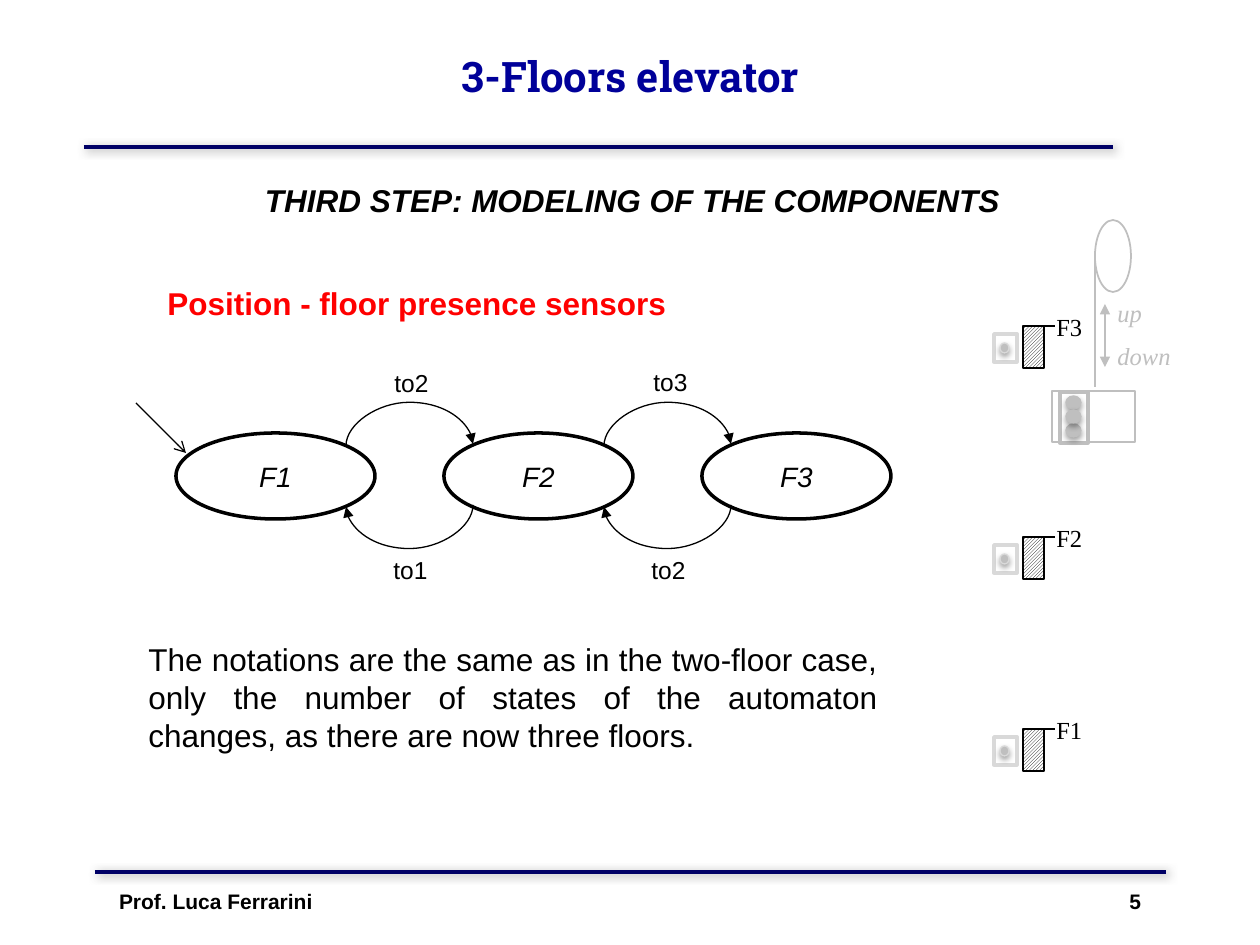
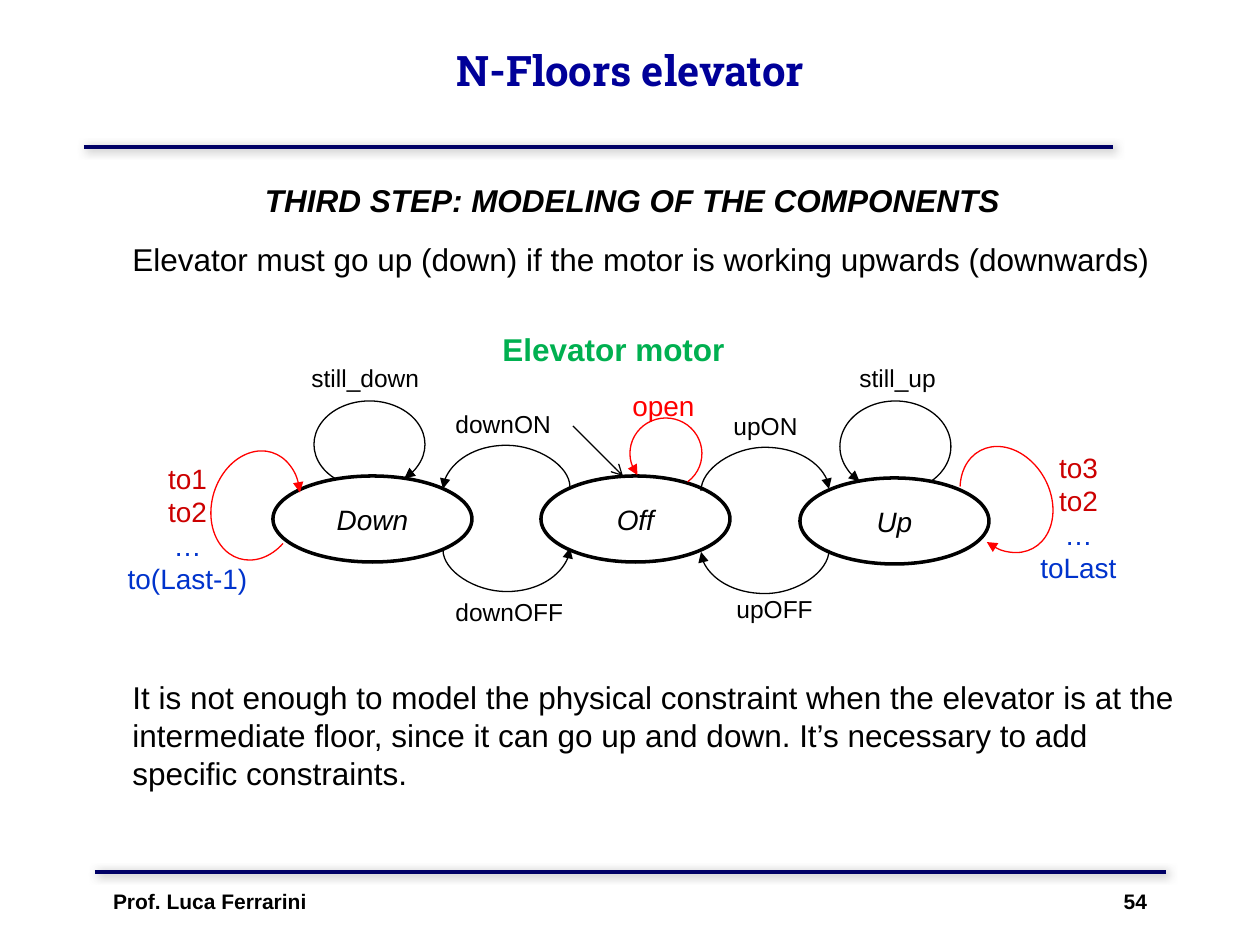
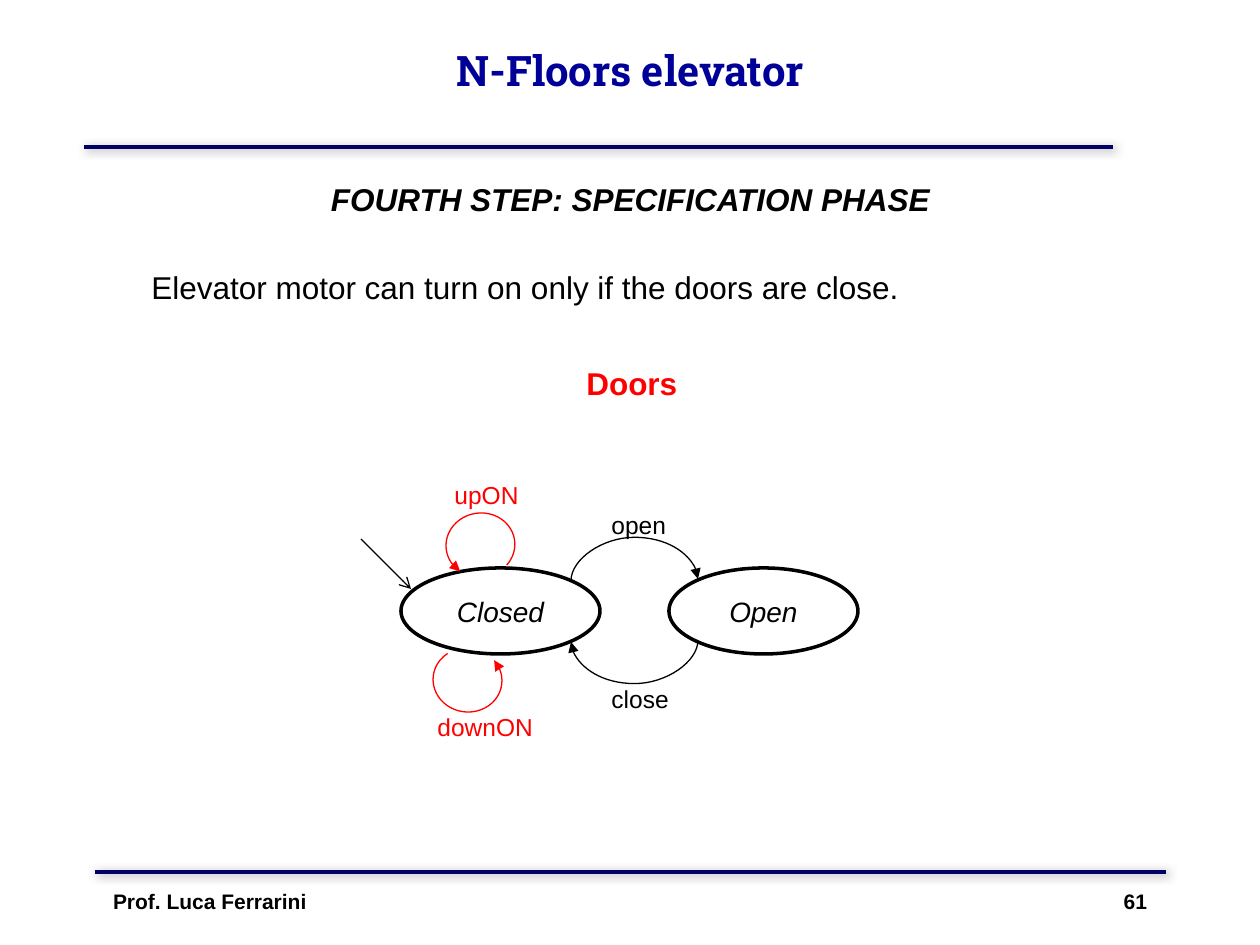
from dataclasses import dataclass, replace

from lxml import etree
from pptx import Presentation
from pptx import util as u
from pptx.dml.color import RGBColor
from pptx.enum import dml, shapes, text
from pptx.oxml.ns import qn

SCALE = 914400 / 126


def px(length):
    return u.Emu(round(length * SCALE))


def rgb(code):
    return RGBColor.from_string(code)


@dataclass(frozen=True)
class Style:
    size: int
    color: str = "000000"
    bold: bool = False
    italic: bool = False
    font: str = "Arial"
    align: text.PP_ALIGN = text.PP_ALIGN.LEFT
    spacing: float = 1.0


@dataclass(frozen=True)
class Shadow:
    color: str
    alpha: int
    blur: float
    distance: float
    angle: int


class Theme:
    ink, paper, red = "000000", "FFFFFF", "FF0000"
    band, green = "000066", "00B050"
    event_red, event_blue = "CC0000", "0033CC"
    grey, pale = "BFBFBF", "D9D9D9"
    center = text.PP_ALIGN.CENTER
    title = Style(24, "000099", bold=True, font="Roboto Slab", align=center)
    step = Style(18, bold=True, italic=True, align=center)
    footer = Style(12, bold=True)
    body = Style(18)
    justified = replace(body, align=text.PP_ALIGN.JUSTIFY)
    double_spaced = replace(body, spacing=2.0)
    state = Style(16, italic=True, align=center)
    event = Style(14)
    red_event = Style(14, red)
    event_list = Style(16, event_red, align=center)
    floor = Style(14, font="Times New Roman")
    direction = replace(floor, color=grey, italic=True)
    band_shadow = Shadow("808080", 75, 5, 1.4, 45)
    lamp_shadow = Shadow("000000", 35, 3.15, 1.8, 90)


@dataclass(frozen=True)
class State:
    x: int
    y: int
    w: int


class Deck:
    def __init__(self):
        self.file = Presentation()
        self.file.slide_width, self.file.slide_height = px(1260), px(945)
        self.slide = None

    def new_slide(self, title, title_top, step, step_left, step_top, page, footer_inset):
        self.slide = self.file.slides.add_slide(self.file.slide_layouts[6])
        self.line(84, 147, 1113, 147, Theme.band, 2.25, shadow=Theme.band_shadow)
        self.line(95, 872, 1166, 872, Theme.band, 2.25, shadow=Theme.band_shadow)
        self.footer(page, footer_inset)
        heading = self.text(title, 95, title_top, 1071, 158, Theme.title)
        heading.vertical_anchor = text.MSO_ANCHOR.MIDDLE
        self.text(step, step_left, step_top, 1089, 50, Theme.step)

    def footer(self, page, inset):
        width = 1176
        frame = self.text(f"Prof. Luca Ferrarini\t{page}", 42, 882, width, 63, Theme.footer)
        frame.margin_left, frame.margin_right = px(inset), 0
        stops = etree.SubElement(frame.paragraphs[0]._p.get_or_add_pPr(), qn("a:tabLst"))
        etree.SubElement(stops, qn("a:tab"), pos=str(px(width - 2 * inset)), algn="r")

    def fill_text(self, frame, content, style):
        frame.word_wrap = True
        frame.text = content
        for paragraph in frame.paragraphs:
            paragraph.alignment = style.align
            if style.spacing != 1:
                paragraph.line_spacing = style.spacing
            for run in paragraph.runs:
                font = run.font
                font.name, font.size = style.font, u.Pt(style.size)
                font.bold, font.italic = style.bold, style.italic
                font.color.rgb = rgb(style.color)
        return frame

    def text(self, content, x, y, w, h, style):
        box = self.slide.shapes.add_textbox(px(x), px(y), px(w), px(h))
        return self.fill_text(box.text_frame, content, style)

    def finish(self, item, color, width, head=None, tail=None, shadow=None):
        item.line.color.rgb = rgb(color)
        item.line.width = u.Pt(width)
        properties = item.element.spPr
        ln = properties.find(qn("a:ln"))
        for tag, kind in (("a:headEnd", head), ("a:tailEnd", tail)):
            if kind:
                etree.SubElement(ln, qn(tag), type=kind)
        effects = etree.SubElement(properties, qn("a:effectLst"))
        if shadow:
            outer = etree.SubElement(
                effects, qn("a:outerShdw"), blurRad=str(u.Pt(shadow.blur)),
                dist=str(u.Pt(shadow.distance)), dir=str(shadow.angle * 60000),
                algn="ctr", rotWithShape="0")
            tint = etree.SubElement(outer, qn("a:srgbClr"), val=shadow.color)
            etree.SubElement(tint, qn("a:alpha"), val=str(shadow.alpha * 1000))
        return item

    def line(self, x1, y1, x2, y2, color=Theme.ink, width=0.75, **ends):
        link = self.slide.shapes.add_connector(
            shapes.MSO_CONNECTOR.STRAIGHT, px(x1), px(y1), px(x2), px(y2))
        return self.finish(link, color, width, **ends)

    def shape(self, kind, x, y, w, h, fill, color, width, **ends):
        item = self.slide.shapes.add_shape(kind, px(x), px(y), px(w), px(h))
        if fill:
            item.fill.solid()
            item.fill.fore_color.rgb = rgb(fill)
        else:
            item.fill.background()
        return self.finish(item, color, width, **ends)

    def rect(self, *args, **ends):
        return self.shape(shapes.MSO_SHAPE.RECTANGLE, *args, **ends)

    def ellipse(self, *args, **ends):
        return self.shape(shapes.MSO_SHAPE.OVAL, *args, **ends)

    def hatch(self, x, y, w, h):
        wall = self.rect(x, y, w, h, None, Theme.ink, 1)
        wall.fill.patterned()
        wall.fill.pattern = dml.MSO_PATTERN.LIGHT_UPWARD_DIAGONAL
        wall.fill.fore_color.rgb = rgb(Theme.ink)
        wall.fill.back_color.rgb = rgb(Theme.paper)

    def lamp(self, x, y, w, h, color):
        self.ellipse(x, y, w, h, Theme.grey, color, 0.75, shadow=Theme.lamp_shadow)

    def state(self, name, x, y, w=189):
        bubble = self.ellipse(x, y, w, 86, Theme.paper, Theme.ink, 2)
        self.fill_text(bubble.text_frame, name, Theme.state)
        bubble.text_frame.vertical_anchor = text.MSO_ANCHOR.MIDDLE
        return State(x, y, w)

    def start_arrow(self, x, y):
        self.line(x, y, x + 50, y + 50, tail="arrow")

    def transition(self, x1, x2, y, above, **ends):
        rise, depth = 44, 2
        middle, half = (x1 + x2) / 2, (x2 - x1) / 2
        side = 1 if above else -1
        link = self.slide.shapes.add_connector(
            shapes.MSO_CONNECTOR.CURVE,
            px(middle + side * depth / 2), px(y + side * half),
            px(middle - side * depth / 2), px(y - side * half))
        properties = link.element.spPr
        properties.xfrm.set("rot", str(90 * 60000))
        guides = properties.find(qn("a:prstGeom")).find(qn("a:avLst"))
        etree.SubElement(guides, qn("a:gd"), name="adj1",
                         fmla=f"val {rise * 100000 // depth}")
        self.finish(link, Theme.ink, 0.75, **ends)

    def cycle(self, left, right, **ends):
        x1, x2 = left.x + left.w - 29, right.x + 29
        self.transition(x1, x2, right.y + 12, True, **ends)
        self.transition(x1, x2, right.y + 73, False, **ends)

    def loop(self, x, y, w, h, color=Theme.red, turn=0, mirrored=False, start=136, end=46):
        arc = self.shape(shapes.MSO_SHAPE.ARC, x, y, w, h, None, color, 0.75, head="triangle")
        arc.adjustments[0], arc.adjustments[1] = start * 0.6, end * 0.6
        arc.rotation = turn
        if mirrored:
            arc.element.spPr.xfrm.set("flipH", "1")

    def events(self, x, y, names):
        frame = self.text("\n".join(names), x, y, 161, 149, Theme.event_list)
        for paragraph in frame.paragraphs[2:]:
            paragraph.runs[0].font.color.rgb = rgb(Theme.event_blue)

    def labels(self, style, *entries):
        for name, x, y in entries:
            self.text(name, x, y, 145, 43, style)


def hoist(deck):
    deck.ellipse(1095, 220, 36, 72, None, Theme.grey, 1)
    deck.line(1095, 387, 1095, 251, Theme.grey, 1)
    deck.text("up", 1105, 292, 95, 42, Theme.direction)
    deck.text("down", 1105, 335, 95, 42, Theme.direction)
    deck.line(1105, 304, 1105, 367, Theme.grey, head="triangle", tail="triangle")
    deck.rect(1052, 391, 83, 51, None, Theme.grey, 1)
    for floor, y in (("F3", 326), ("F2", 537), ("F1", 729)):
        deck.hatch(1023, y, 21, 42)
        deck.line(1044, y, 1055, y, width=1)
        deck.text(floor, 1044, y - 20, 53, 42, Theme.floor)
        deck.rect(994, y + 8, 23, 28, Theme.paper, Theme.pale, 2)
        deck.lamp(1000, y + 17, 9, 10, Theme.pale)
    deck.rect(1060, 392, 28, 51, Theme.paper, Theme.grey, 2)
    for row in (0, 2, 1):
        deck.lamp(1066, 396 + 14 * row, 15, 13, Theme.grey)


def floor_sensors(deck):
    deck.new_slide("3-Floors elevator", -3,
                   "THIRD STEP: MODELING OF THE COMPONENTS", 88, 175, 5, 77)
    deck.text("Position - floor presence sensors", 155, 278, 562, 50,
              replace(Theme.body, color=Theme.red, bold=True))
    hoist(deck)
    first = deck.state("F1", 176, 433, 199)
    second = deck.state("F2", 444, 433)
    third = deck.state("F3", 702, 433)
    deck.start_arrow(136, 403)
    deck.cycle(first, second, tail="triangle")
    deck.cycle(second, third, tail="triangle")
    deck.labels(Theme.event, ("to2", 382, 362), ("to1", 381, 549),
                ("to3", 641, 361), ("to2", 639, 549))
    deck.text("The notations are the same as in the two-floor case, only the number of states "
              "of the automaton changes, as there are now three floors.",
              136, 634, 754, 127, Theme.justified)


def elevator_motor(deck):
    deck.new_slide("N-Floors elevator", -9,
                   "THIRD STEP: MODELING OF THE COMPONENTS", 88, 175, 54, 71)
    deck.text("Elevator must go up (down) if the motor is working upwards (downwards)",
              120, 234, 1089, 50, Theme.body)
    deck.text("It is not enough to model the physical constraint when the elevator is at the "
              "intermediate floor, since it can go up and down. It’s necessary to add specific "
              "constraints.", 120, 672, 1089, 127, Theme.body)
    deck.text("Elevator motor", 490, 324, 275, 50,
              replace(Theme.body, color=Theme.green, bold=True))
    down = deck.state("Down", 273, 476, 199)
    off = deck.state("Off", 541, 476)
    up = deck.state("Up", 800, 478)
    deck.start_arrow(573, 426)
    deck.cycle(down, off, head="triangle")
    deck.cycle(off, up, tail="triangle")
    deck.loop(200, 462, 111, 87, turn=287, mirrored=True, start=123.2, end=52.9)
    deck.loop(951, 456, 111, 87, turn=61.7, mirrored=True, start=126.8)
    deck.loop(314, 401, 111, 87, Theme.ink, mirrored=True)
    deck.loop(840, 401, 111, 91, Theme.ink)
    deck.loop(630, 418, 72, 71, turn=6.7)
    deck.events(107, 455, ("to1", "to2", "…", "to(Last-1)"))
    deck.events(998, 444, ("to3", "to2", "…", "toLast"))
    deck.labels(Theme.event, ("downON", 443, 403), ("downOFF", 443, 591),
                ("upON", 721, 405), ("upOFF", 724, 588),
                ("still_down", 299, 357), ("still_up", 847, 357))
    deck.labels(replace(Theme.red_event, size=16), ("open", 620, 382))


def door_specification(deck):
    deck.new_slide("N-Floors elevator", -9,
                   "FOURTH STEP: SPECIFICATION PHASE", 86, 174, 61, 71)
    deck.text("Elevator motor can turn on only if the doors are close.",
              139, 224, 982, 77, Theme.double_spaced)
    deck.text("Doors", 574, 358, 339, 50, replace(Theme.body, color=Theme.red, bold=True))
    closed = deck.state("Closed", 401, 568, 199)
    opened = deck.state("Open", 669, 568)
    deck.start_arrow(361, 539)
    deck.cycle(closed, opened, tail="triangle")
    deck.loop(446, 513, 69, 64, turn=351.5)
    deck.loop(433, 648, 69, 64, turn=187.3)
    deck.labels(Theme.event, ("open", 599, 504), ("close", 599, 678))
    deck.labels(Theme.red_event, ("upON", 442, 474), ("downON", 425, 706))


def main():
    deck = Deck()
    for build in (floor_sensors, elevator_motor, door_specification):
        build(deck)
    deck.file.save("out.pptx")


if __name__ == "__main__":
    main()
